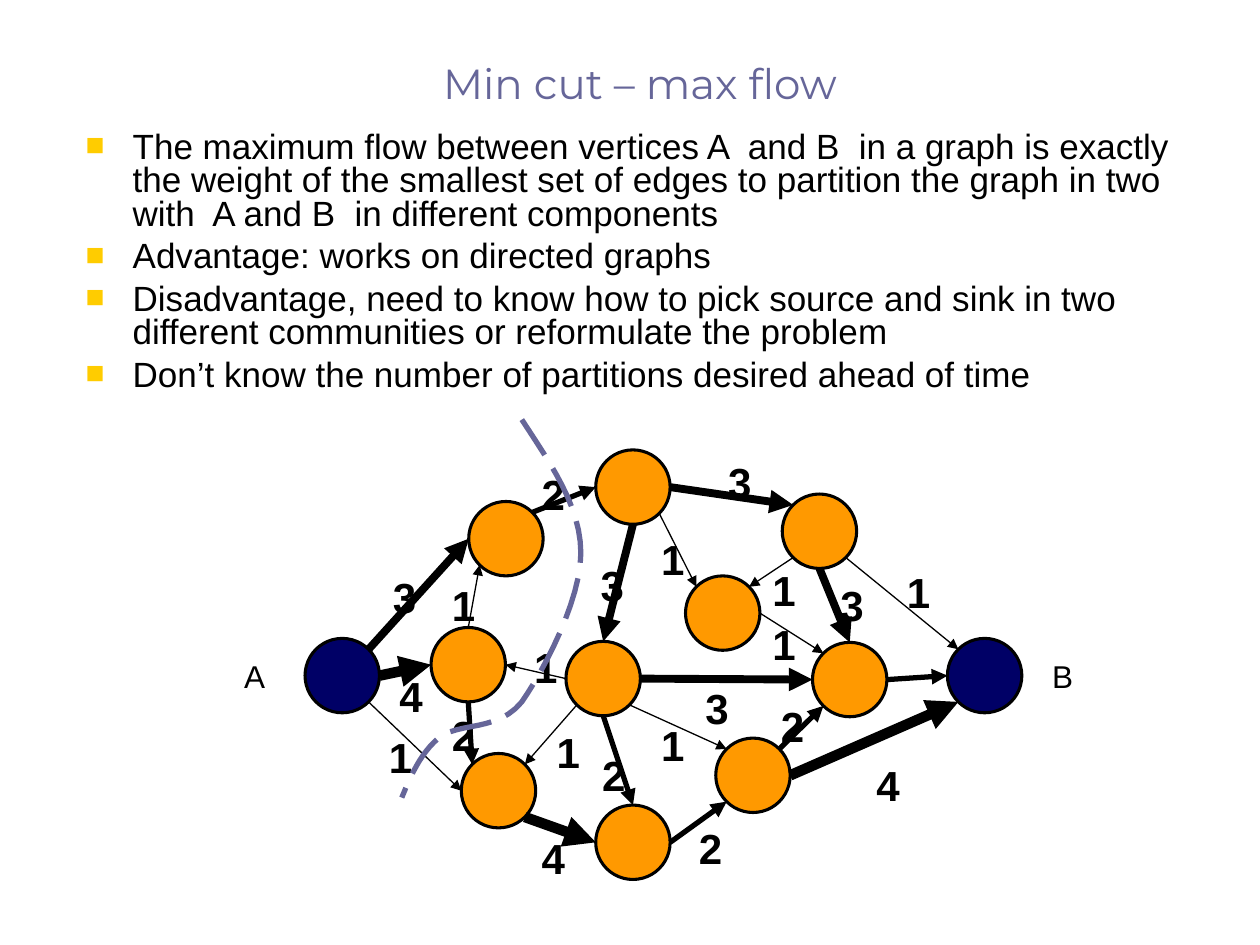
import math

from lxml import etree
from pptx import Presentation
from pptx import util as u
from pptx.dml.color import RGBColor
from pptx.enum import dml, shapes, text
from pptx.oxml import ns

BLACK = RGBColor(0x00, 0x00, 0x00)
NAVY = RGBColor(0x00, 0x00, 0x66)
ORANGE = RGBColor(0xFF, 0x99, 0x00)
YELLOW = RGBColor(0xFF, 0xCC, 0x00)
SLATE = RGBColor(0x66, 0x66, 0x99)

DIAMETER = 1.5  # cm, as are all positions below
NODES = {  # centres
    "source": (6.9, 13.62), "sink": (19.85, 13.62),
    "upper left": (10.2, 10.86), "mid left": (9.44, 13.4),
    "lower left": (10.05, 15.94), "bottom": (12.76, 16.98),
    "centre": (12.16, 13.68), "inner": (14.57, 12.36),
    "top": (12.76, 9.82), "upper right": (16.52, 10.71),
    "mid right": (17.13, 13.7), "lower right": (15.18, 15.63),
}
# Compass points on a node, in degrees clockwise from east
COMPASS = {"E": 0, "SE": 45, "S": 90, "SW": 135,
           "W": 180, "NW": 225, "N": 270, "NE": 315}
# start, its side, end, its side, weight, corner of the weight label
EDGES = [
    ("source", "E", "mid left", "W", 4, (7.8, 13.39)),
    ("mid left", "N", "upper left", "SW", 1, (8.86, 11.56)),
    ("upper left", "NE", "top", "W", 2, (10.67, 9.32)),
    ("top", "S", "centre", "N", 3, (11.86, 11.15)),
    ("top", "SE", "inner", "NW", 1, (13.08, 10.64)),
    ("top", "E", "upper right", "NW", 3, (14.43, 9.07)),
    ("upper right", "SW", "inner", "NE", 1, (15.32, 11.25)),
    ("upper right", "S", "mid right", "N", 3, (16.69, 11.56)),
    ("centre", "E", "mid right", "W", 3, (13.97, 13.64)),
    ("inner", "E", "mid right", "NW", 1, (15.32, 12.34)),
    ("centre", "W", "mid left", "E", 1, (10.52, 12.8)),
    ("mid left", "S", "lower left", "NW", 2, (8.86, 14.17)),
    ("centre", "S", "bottom", "N", 2, (11.89, 14.99)),
    ("centre", "SW", "lower left", "NE", 1, (10.97, 14.53)),
    ("lower left", "SE", "bottom", "W", 4, (10.67, 16.66)),
    ("bottom", "E", "lower right", "SW", 2, (13.84, 16.46)),
    ("centre", "SE", "lower right", "NW", 1, (13.08, 14.38)),
    ("lower right", "NE", "mid right", "SW", 2, (15.49, 14)),
    ("source", "NE", "upper left", "W", 3, (7.67, 11.4)),
    ("source", "SE", "lower left", "W", 1, (7.59, 14.63)),
    ("mid right", "E", "sink", "W", 2, None),
    ("upper right", "SE", "sink", "NW", 1, (18.03, 11.3)),
    ("lower right", "E", "sink", "SW", 4, (17.42, 15.19)),
]
EDGE_WIDTH = {1: 0.75, 2: 3, 3: 4.5, 4: 6}
CUT = [  # start, then two control points and an end for each Bezier segment
    (10.52, 8.46), (11.1, 9.35), (11.71, 10.21), (11.71, 11.15),
    (11.71, 12.09), (10.97, 13.51), (10.52, 14.15),
    (10.03, 14.76), (9.25, 14.55), (8.84, 14.88),
    (8.46, 15.21), (8.28, 15.65), (8.1, 16.08),
]
POINTS = [
    "The maximum flow between vertices A  and B  in a graph is exactly the weight "
    "of the smallest set of edges to partition the graph in two with  A and B  in "
    "different components",
    "Advantage: works on directed graphs",
    "Disadvantage, need to know how to pick source and sink in two different "
    "communities or reformulate the problem",
    "Don’t know the number of partitions desired ahead of time",
]


def node_side(node, side):
    x, y = NODES[node]
    angle = math.radians(COMPASS[side])
    return x + DIAMETER / 2 * math.cos(angle), y + DIAMETER / 2 * math.sin(angle)


def bezier_points(controls, steps=12):
    """Sample a chain of cubic Bezier segments."""
    points = [controls[0]]
    for i in range(0, len(controls) - 1, 3):
        segment = controls[i:i + 4]
        for step in range(1, steps + 1):
            t = step / steps
            weights = [math.comb(3, k) * t**k * (1 - t)**(3 - k) for k in range(4)]
            points.append(tuple(sum(w * c[axis] for w, c in zip(weights, segment))
                                for axis in (0, 1)))
    return points


class SlideBuilder:
    title_font = "Montserrat"
    body_font = "Arial"

    def __init__(self, s):
        self.s = s

    def run(self, p, words, size, color=BLACK, font=None, bold=False):
        r = p.add_run()
        r.text = words
        r.font.name = font or self.body_font
        r.font.size = u.Pt(size)
        r.font.bold = bold
        r.font.color.rgb = color

    def place(self, sp, left, top, width, height):
        sp.left, sp.top, sp.width, sp.height = map(u.Cm, (left, top, width, height))
        sp.text_frame.auto_size = text.MSO_AUTO_SIZE.NONE

    def title(self, words):
        sp = self.s.shapes.title
        self.place(sp, 1.47, 0.84, 22.86, 1.47)
        tf = sp.text_frame
        tf.vertical_anchor = text.MSO_ANCHOR.BOTTOM
        p = tf.paragraphs[0]
        p.alignment = text.PP_ALIGN.CENTER
        self.run(p, words, 24, SLATE, self.title_font)

    def bullets(self, items):
        sp = self.s.placeholders[1]
        self.place(sp, 1.47, 2.54, 22.86, 5.72)
        tf = sp.text_frame
        for i, item in enumerate(items):
            p = tf.add_paragraph() if i else tf.paragraphs[0]
            self.bullet_mark(p)
            p.line_spacing = 0.8
            p.space_before = u.Pt(5 if i else 0)
            self.run(p, item, 20)

    def bullet_mark(self, p):
        pPr = p._p.get_or_add_pPr()
        pPr.set("marL", str(u.Cm(0.95)))
        pPr.set("indent", str(u.Cm(-0.95)))
        color = etree.SubElement(pPr, ns.qn("a:buClr"))
        etree.SubElement(color, ns.qn("a:srgbClr"), val=str(YELLOW))
        etree.SubElement(pPr, ns.qn("a:buSzPct"), val="90000")
        etree.SubElement(pPr, ns.qn("a:buFont"), typeface=self.body_font)
        etree.SubElement(pPr, ns.qn("a:buChar"), char="■")

    def node(self, center, color):
        x, y = center
        sp = self.s.shapes.add_shape(
            shapes.MSO_SHAPE.OVAL, u.Cm(x - DIAMETER / 2), u.Cm(y - DIAMETER / 2),
            u.Cm(DIAMETER), u.Cm(DIAMETER))
        sp.shadow.inherit = False
        sp.fill.solid()
        sp.fill.fore_color.rgb = color
        sp.line.color.rgb = BLACK
        sp.line.width = u.Pt(1.75)

    def arrow(self, start, end, width):
        cxn = self.s.shapes.add_connector(
            shapes.MSO_CONNECTOR.STRAIGHT, *map(u.Cm, start + end))
        cxn.line.color.rgb = BLACK
        cxn.line.width = u.Pt(width)
        etree.SubElement(cxn.line._get_or_add_ln(), ns.qn("a:tailEnd"), type="triangle")
        etree.SubElement(cxn._element.spPr, ns.qn("a:effectLst"))

    def label(self, words, corner, size, box, bold=False):
        sp = self.s.shapes.add_textbox(*map(u.Cm, corner + box))
        sp.text_frame.word_wrap = False
        self.run(sp.text_frame.paragraphs[0], words, size, bold=bold)

    def dashed_curve(self, points):
        start, *rest = [(u.Cm(x), u.Cm(y)) for x, y in points]
        builder = self.s.shapes.build_freeform(*start)
        builder.add_line_segments(rest, close=False)
        sp = builder.convert_to_shape()
        sp.shadow.inherit = False
        sp.fill.background()
        sp.line.color.rgb = SLATE
        sp.line.width = u.Pt(3)
        sp.line.dash_style = dml.MSO_LINE.LONG_DASH


def main():
    prs = Presentation()
    prs.slide_width, prs.slide_height = u.Cm(25.4), u.Cm(19.05)
    slide = SlideBuilder(prs.slides.add_slide(prs.slide_layouts[1]))
    slide.title("Min cut – max flow")
    slide.bullets(POINTS)
    for name, center in NODES.items():
        slide.node(center, NAVY if name in ("source", "sink") else ORANGE)
    for start, start_side, end, end_side, weight, _ in EDGES:
        slide.arrow(node_side(start, start_side), node_side(end, end_side),
                    EDGE_WIDTH[weight])
    for *_, weight, corner in EDGES:
        if corner:
            slide.label(str(weight), corner, 24, (0.97, 1.27), bold=True)
    slide.dashed_curve(bezier_points(CUT))
    for letter, left in (("A", 4.67), ("B", 20.96)):
        slide.label(letter, (left, 13.13), 18, (0.91, 1.02))
    prs.save("out.pptx")


if __name__ == "__main__":
    main()
